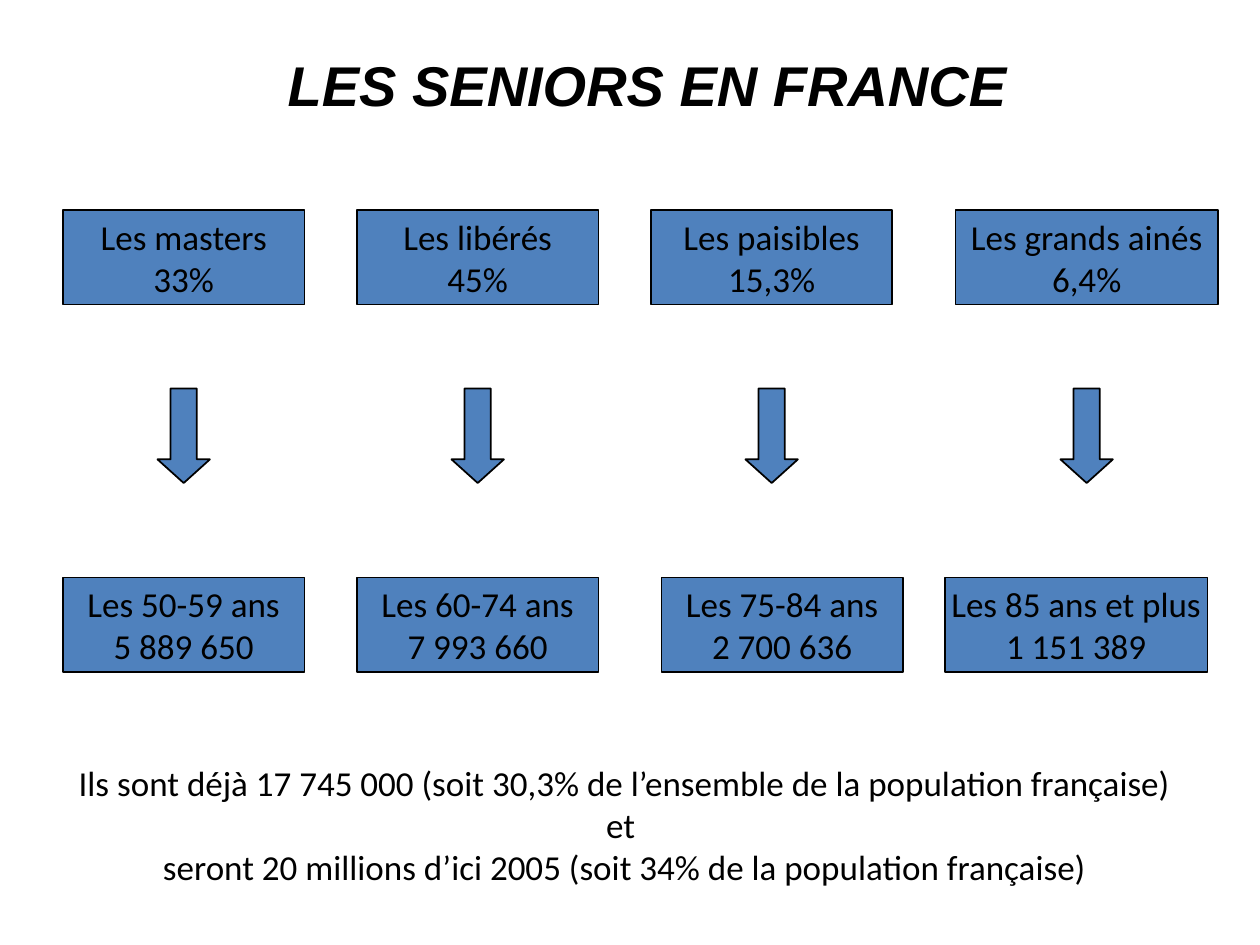
from pptx import Presentation
from pptx.dml.color import RGBColor
from pptx.enum.shapes import MSO_SHAPE
from pptx.enum.text import MSO_ANCHOR, PP_ALIGN
from pptx.util import Pt

RECT, DOWN_ARROW = MSO_SHAPE.RECTANGLE, MSO_SHAPE.DOWN_ARROW
MIDDLE, CENTER = MSO_ANCHOR.MIDDLE, PP_ALIGN.CENTER
COLORS = {"fill": "4F81BD", "ink": "000000"}
INK = RGBColor.from_string(COLORS["ink"])


def add_block(kind, x, y, w, h):
    sp = s.shapes.add_shape(kind, Pt(x), Pt(y), Pt(w), Pt(h))
    sp.shadow.inherit = False
    sp.fill.solid()
    sp.fill.fore_color.rgb = RGBColor.from_string(COLORS["fill"])
    sp.line.color.rgb = INK
    sp.line.width = Pt(1)
    return sp


def write_lines(sp, lines, size=20, font="Calibri", wrap=False):
    tf = sp.text_frame
    tf.word_wrap = wrap
    tf.vertical_anchor = MIDDLE
    tf.text = "\n".join(lines)
    for p in tf.paragraphs:
        p.alignment = CENTER
        p.font.size = Pt(size)
        p.font.name = font
        p.font.color.rgb = INK


prs = Presentation()
prs.slide_width, prs.slide_height = Pt(720), Pt(540)
s = prs.slides.add_slide(prs.slide_layouts[5])

# Title
title = s.shapes.title
title.left, title.top, title.width, title.height = Pt(66), Pt(18), Pt(608), Pt(60)
write_lines(title, ["LES SENIORS EN FRANCE"], 32, "Arial", True)
font = title.text_frame.paragraphs[0].font
font.bold = font.italic = True

# Segments: upper left, lower left, width, upper lines, lower lines
segments = [
    (36, 36, 138, ["Les masters", "33%"], ["Les 50-59 ans", "5 889 650"]),
    (204, 204, 138, ["Les libérés", "45%"], ["Les 60-74 ans", "7 993 660"]),
    (372, 378, 138, ["Les paisibles", "15,3%"], ["Les 75-84 ans", "2 700 636"]),
    (546, 540, 150, ["Les grands ainés", "6,4%"], ["Les 85 ans et plus", "1 151 389"]),
]
ARROW_W = 30
for upper_x, lower_x, w, share, ages in segments:
    write_lines(add_block(RECT, upper_x, 120, w, 54), share)
    arrow = add_block(DOWN_ARROW, upper_x + (w - ARROW_W) / 2, 222, ARROW_W, 54)
    arrow.adjustments[1] = 0.45
    write_lines(add_block(RECT, lower_x, 330, w, 54), ages)

# Summary
summary = s.shapes.add_textbox(Pt(30), Pt(432), Pt(654), Pt(78))
write_lines(summary, [
    "Ils sont déjà 17 745 000 (soit 30,3% de l’ensemble de la population française) et ",
    "seront 20 millions d’ici 2005 (soit 34% de la population française)",
])

prs.save("out.pptx")
